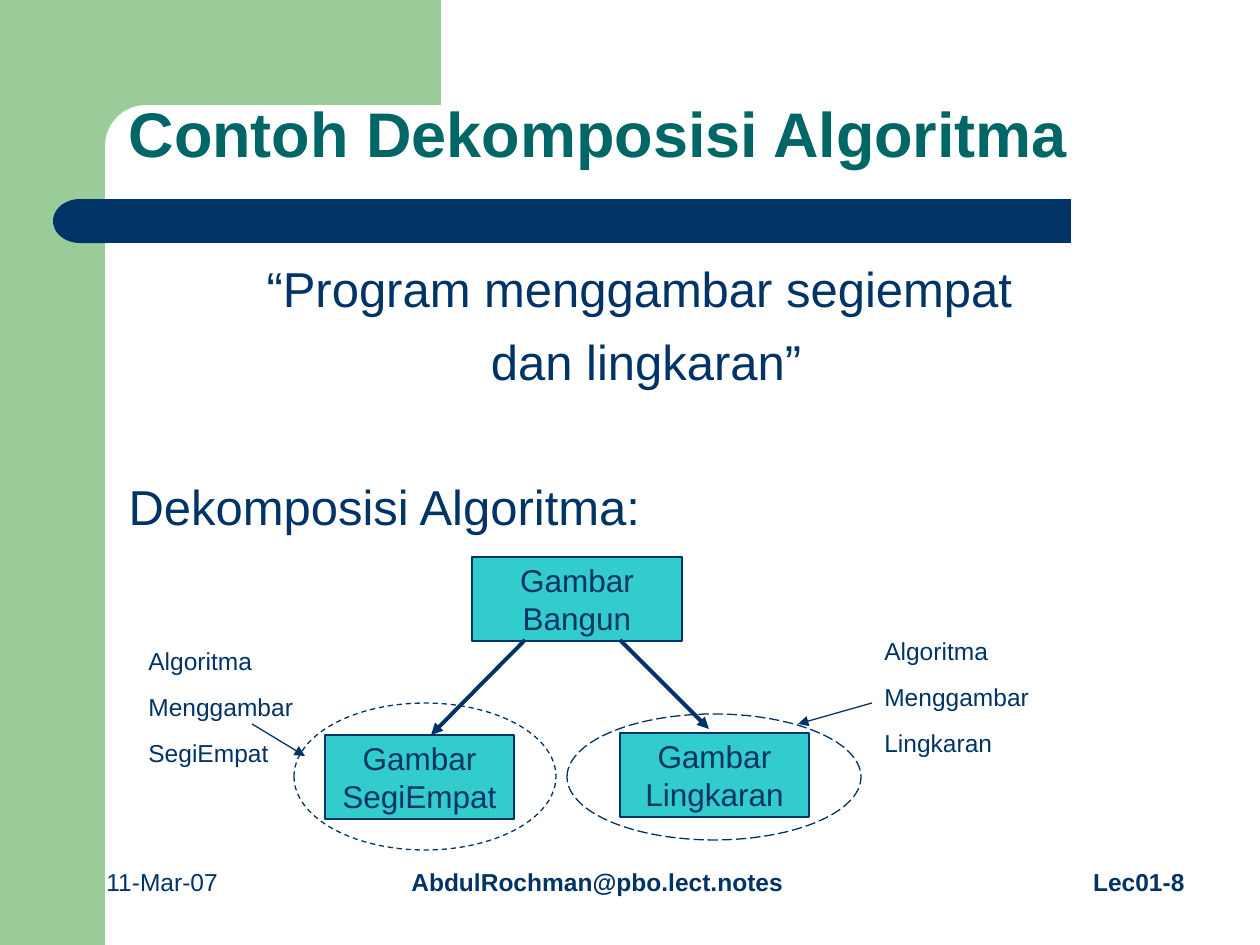
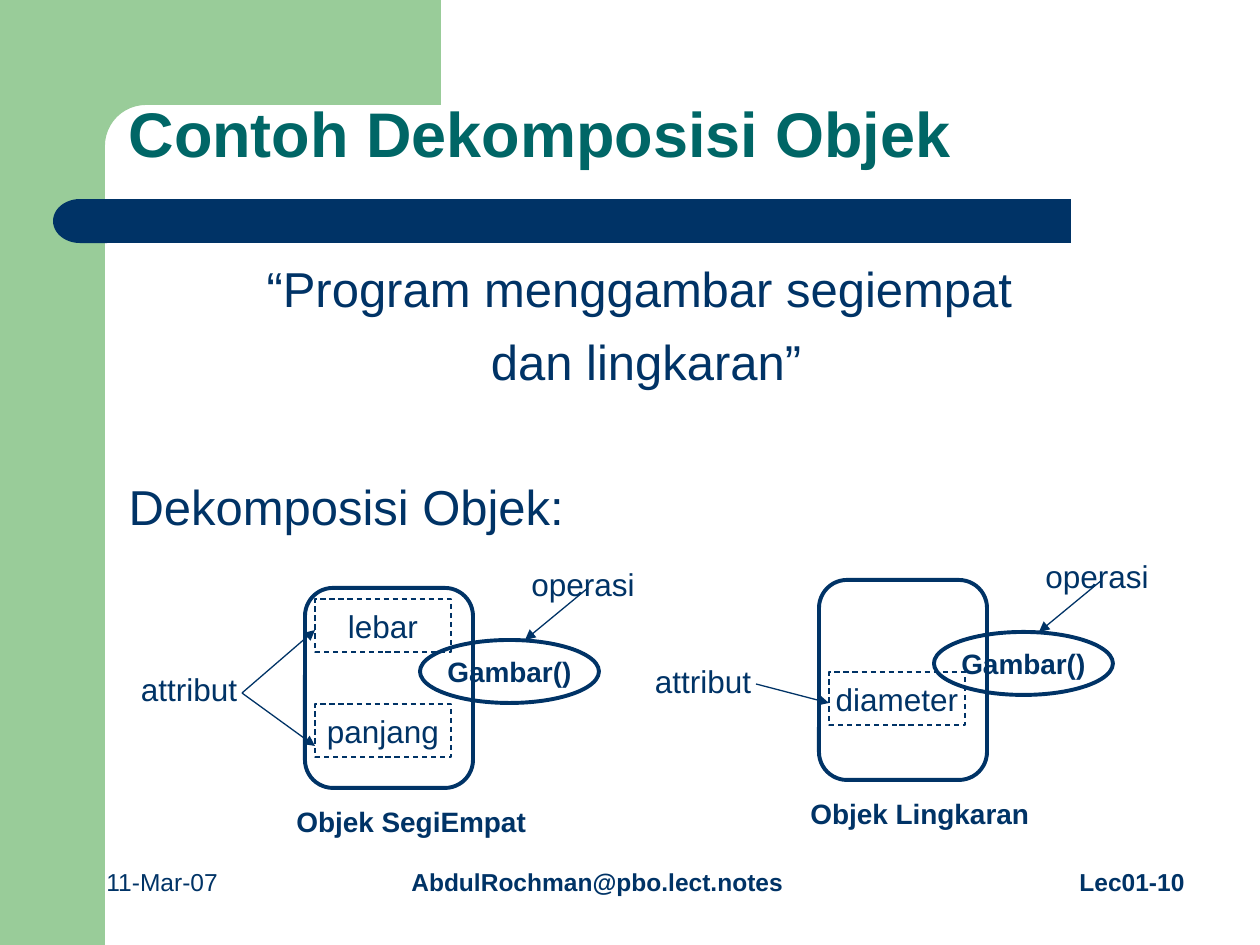
import math

import pptx
import pptx.dml.color
import pptx.enum.dml
import pptx.enum.shapes
import pptx.enum.text
import pptx.oxml.ns
import pptx.util
from lxml import etree

# Shared look
PX = 914400 / 126
GREEN, NAVY, TEAL, AQUA = "99CC99", "003366", "006666", "33CCCC"
FONT = "Arial"
SHAPE = pptx.enum.shapes.MSO_SHAPE
DASH = pptx.enum.dml.MSO_LINE
ALIGN = pptx.enum.text.PP_ALIGN
ANCHOR = pptx.enum.text.MSO_ANCHOR
qn = pptx.oxml.ns.qn

# Content of both slides
QUOTE = ["“Program menggambar segiempat ", "dan lingkaran”"]
DATE, AUTHOR = "11-Mar-07", "AbdulRochman@pbo.lect.notes"

ALGORITHM = {"title": "Contoh Dekomposisi Algoritma",
             "heading": "Dekomposisi Algoritma:", "number": "Lec01-8"}
STEPS = [  # lines, box
    (["Gambar", "Bangun"], (472, 557, 210, 84)),
    (["Gambar", "SegiEmpat"], (325, 735, 189, 84)),
    (["Gambar", "Lingkaran"], (620, 733, 189, 84)),
]
STEP_ARROWS = [((525, 640), (431, 735)), ((620, 640), (709, 729))]
SCOPES = [  # ellipse, dash, label lines, label box, arrow
    ((294, 703, 262, 147), DASH.DASH, ["Algoritma", "Menggambar", "SegiEmpat"],
     (136, 640, 242, 132), ((252, 724), (305, 756))),
    ((567, 714, 294, 126), DASH.LONG_DASH, ["Algoritma", "Menggambar", "Lingkaran"],
     (872, 630, 242, 132), ((872, 703), (798, 724))),
]

OBJECTS = {"title": "Contoh Dekomposisi Objek",
           "heading": "Dekomposisi Objek:", "number": "Lec01-10"}
CLASSES = [  # attributes: name, top of its frame, height of its arrow tip
    {"name": "Objek SegiEmpat", "origin": (305, 588), "arrow_start": 105,
     "attributes": [("panjang", 116, 158), ("lebar", 11, 42)]},
    {"name": "Objek Lingkaran", "origin": (819, 580), "arrow_start": 104,
     "attributes": [("diameter", 92, 123)]},
]


# Drawing helpers
def px(value):
    return round(value * PX)


def color(value):
    return pptx.dml.color.RGBColor.from_string(value)


def write(shape, lines, size=18, ink=NAVY, bold=False, align=ALIGN.LEFT,
          anchor=ANCHOR.TOP, wrap=True, gap=0, spacing=None):
    """Fill a shape with one paragraph per line; gap separates them."""
    frame = shape.text_frame
    frame.word_wrap = wrap
    frame.auto_size = pptx.enum.text.MSO_AUTO_SIZE.NONE
    frame.vertical_anchor = anchor
    for index, line in enumerate(lines):
        para = frame.add_paragraph() if index else frame.paragraphs[0]
        para.alignment = align
        para.space_before = pptx.util.Pt(gap if index else 0)
        if spacing:
            para.line_spacing = spacing
        span = para.add_run()
        span.text = line
        span.font.name, span.font.size = FONT, pptx.util.Pt(size)
        span.font.bold = bold
        span.font.color.rgb = color(ink)
    return frame


def add_text(page, box, lines, **style):
    return write(page.shapes.add_textbox(*map(px, box)), lines, **style)


def paint(shape, fill=None, line=None, width=0.75, dash=None):
    shape.shadow.inherit = False
    if fill:
        shape.fill.solid()
        shape.fill.fore_color.rgb = color(fill)
    else:
        shape.fill.background()
    if line:
        shape.line.color.rgb = color(line)
        shape.line.width = pptx.util.Pt(width)
        if dash:
            shape.line.dash_style = dash
    else:
        shape.line.fill.background()
    return shape


def add_shape(page, kind, box, **look):
    return paint(page.shapes.add_shape(kind, *map(px, box)), **look)


def add_label(page, shape, lines, **style):
    return write(shape, lines, align=ALIGN.CENTER, anchor=ANCHOR.MIDDLE,
                 wrap=False, **style)


def add_arrow(page, start, tip, width=0.75):
    arrow = page.shapes.add_connector(
        pptx.enum.shapes.MSO_CONNECTOR.STRAIGHT, *map(px, (*start, *tip)))
    arrow.line.color.rgb = color(NAVY)
    arrow.line.width = pptx.util.Pt(width)
    outline = next(arrow.element.iter(qn("a:ln")))
    etree.SubElement(outline, qn("a:tailEnd"), type="triangle")
    etree.SubElement(outline.getparent(), qn("a:effectLst"))


# Frame shared by the slides
def add_bands(page):
    add_shape(page, SHAPE.RECTANGLE, (0, 0, 105, 945), fill=GREEN)
    radius = 41
    turns = [math.radians(90 * step / 12) for step in range(13)]
    corner = [(146 - radius * math.sin(turn), 146 - radius * math.cos(turn))
              for turn in turns]
    outline = [(441, 0), (441, 105), *corner, (105, 161), (63, 161)]
    builder = page.shapes.build_freeform(px(63), 0)
    builder.add_line_segments([(px(x), px(y)) for x, y in outline], close=True)
    paint(builder.convert_to_shape(), fill=GREEN)
    add_shape(page, SHAPE.RECTANGLE, (105, 199, 966, 44), fill=NAVY)
    cap = add_shape(page, SHAPE.FLOWCHART_DELAY, (53, 199, 54, 44), fill=NAVY)
    cap.rotation = 180


def place(page, holder, box):
    holder.left, holder.top, holder.width, holder.height = map(px, box)
    page.shapes.element.append(holder.element)  # in front of the bands


def add_page(deck, content):
    page = deck.slides.add_slide(deck.slide_layouts[1])
    title, body = page.placeholders
    add_bands(page)
    add_text(page, (399, 861, 451, 43), [AUTHOR], size=14, bold=True)
    add_text(page, (94, 861, 294, 43), [DATE], size=14)
    add_text(page, (903, 861, 294, 66), [content["number"]], size=14,
             bold=True, align=ALIGN.RIGHT)

    place(page, title, (116, 32, 1071, 146))
    write(title, [content["title"]], size=36, ink=TEAL, bold=True,
          anchor=ANCHOR.BOTTOM, spacing=0.9)
    place(page, body, (116, 252, 1060, 587))
    frame = write(body, QUOTE + [content["heading"]], size=28,
                  align=ALIGN.CENTER, gap=8.4)
    heading = frame.paragraphs[-1]
    heading.alignment = ALIGN.LEFT
    heading.space_before = pptx.util.Pt(49)
    for settings in body.element.iter(qn("a:pPr")):
        settings.set("marL", str(px(48)))
        settings.set("indent", str(px(-48)))
        etree.SubElement(settings, qn("a:buNone"))
    return page


# Slide 1: tree of drawing steps
def add_algorithm_page(deck):
    page = add_page(deck, ALGORITHM)
    for lines, box in STEPS:
        step = add_shape(page, SHAPE.RECTANGLE, box, fill=AQUA, line=NAVY)
        add_label(page, step, lines)
    for start, tip in STEP_ARROWS:
        add_arrow(page, start, tip, width=2.25)
    for ellipse, dash, lines, box, (start, tip) in SCOPES:
        add_shape(page, SHAPE.OVAL, ellipse, line=NAVY, dash=dash)
        add_text(page, box, lines, size=14, gap=9.4)
        add_arrow(page, start, tip)


# Slide 2: one diagram for each class, laid out from its own corner
def add_class(page, item):
    left, top = item["origin"]

    def at(x, y, *size):
        return (left + x, top + y, *size)

    add_shape(page, SHAPE.ROUNDED_RECTANGLE, at(0, 0, 168, 200),
              line=NAVY, width=2.25)
    operation = add_shape(page, SHAPE.OVAL, at(115, 52, 179, 63),
                          line=NAVY, width=2.25)
    add_label(page, operation, ["Gambar()"], size=16, bold=True)
    add_text(page, at(-21, 210, 262, 47), [item["name"]], size=16, bold=True)
    for name, offset, tip in item["attributes"]:
        attribute = add_shape(page, SHAPE.RECTANGLE, at(10, offset, 136, 53),
                              line=NAVY, dash=DASH.DASH)
        add_label(page, attribute, [name])
        add_arrow(page, at(-63, item["arrow_start"]), at(10, tip))
    add_arrow(page, at(283, 0), at(220, 52))
    for word, box in [("attribut", at(-179, 74, 126, 53)),
                      ("operasi", at(199, -31, 158, 53))]:
        add_label(page, page.shapes.add_textbox(*map(px, box)), [word])


def add_object_page(deck):
    page = add_page(deck, OBJECTS)
    for item in reversed(CLASSES):
        add_class(page, item)


def main():
    deck = pptx.Presentation()
    deck.slide_width, deck.slide_height = px(1260), px(945)
    add_algorithm_page(deck)
    add_object_page(deck)
    deck.save("out.pptx")


if __name__ == "__main__":
    main()
